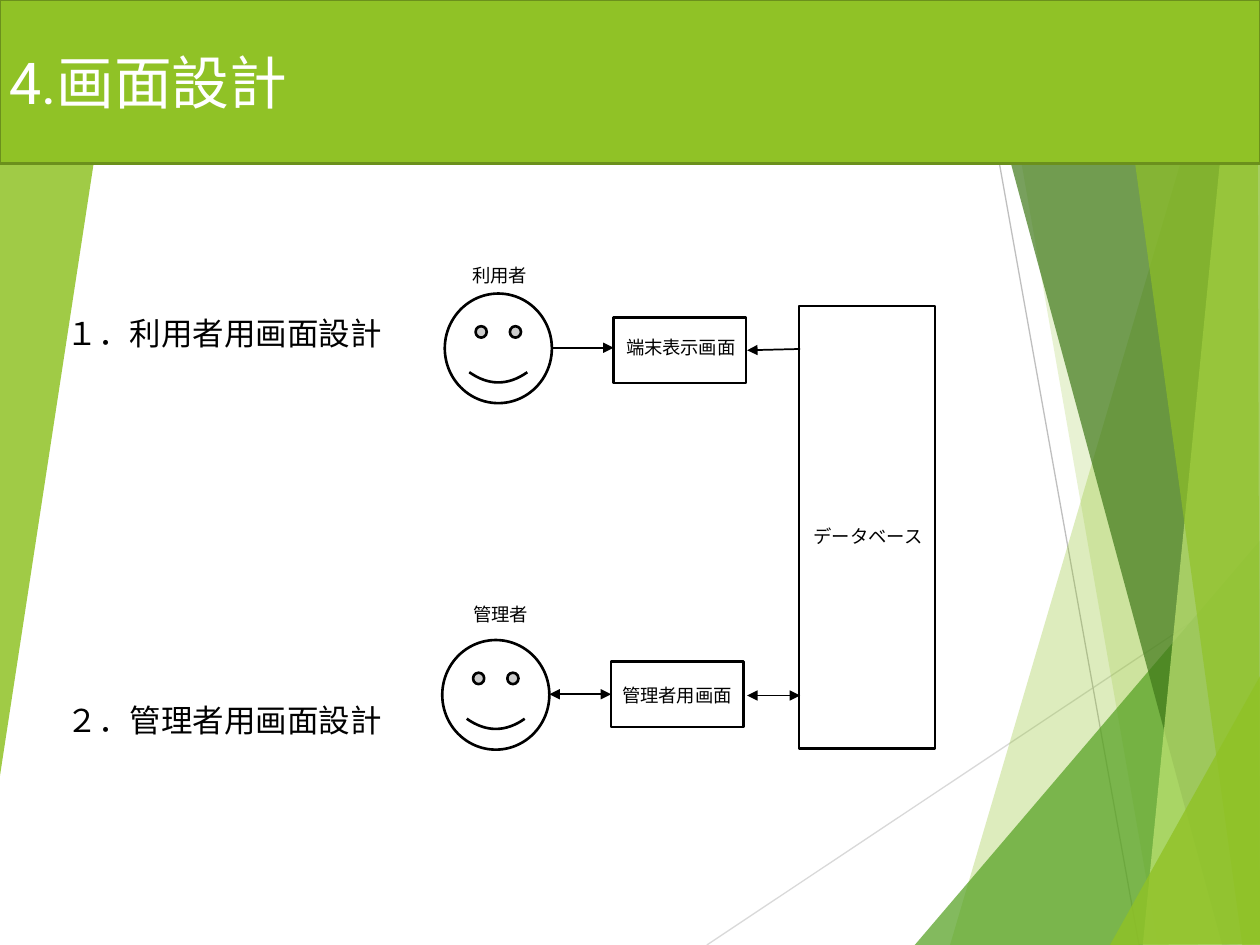
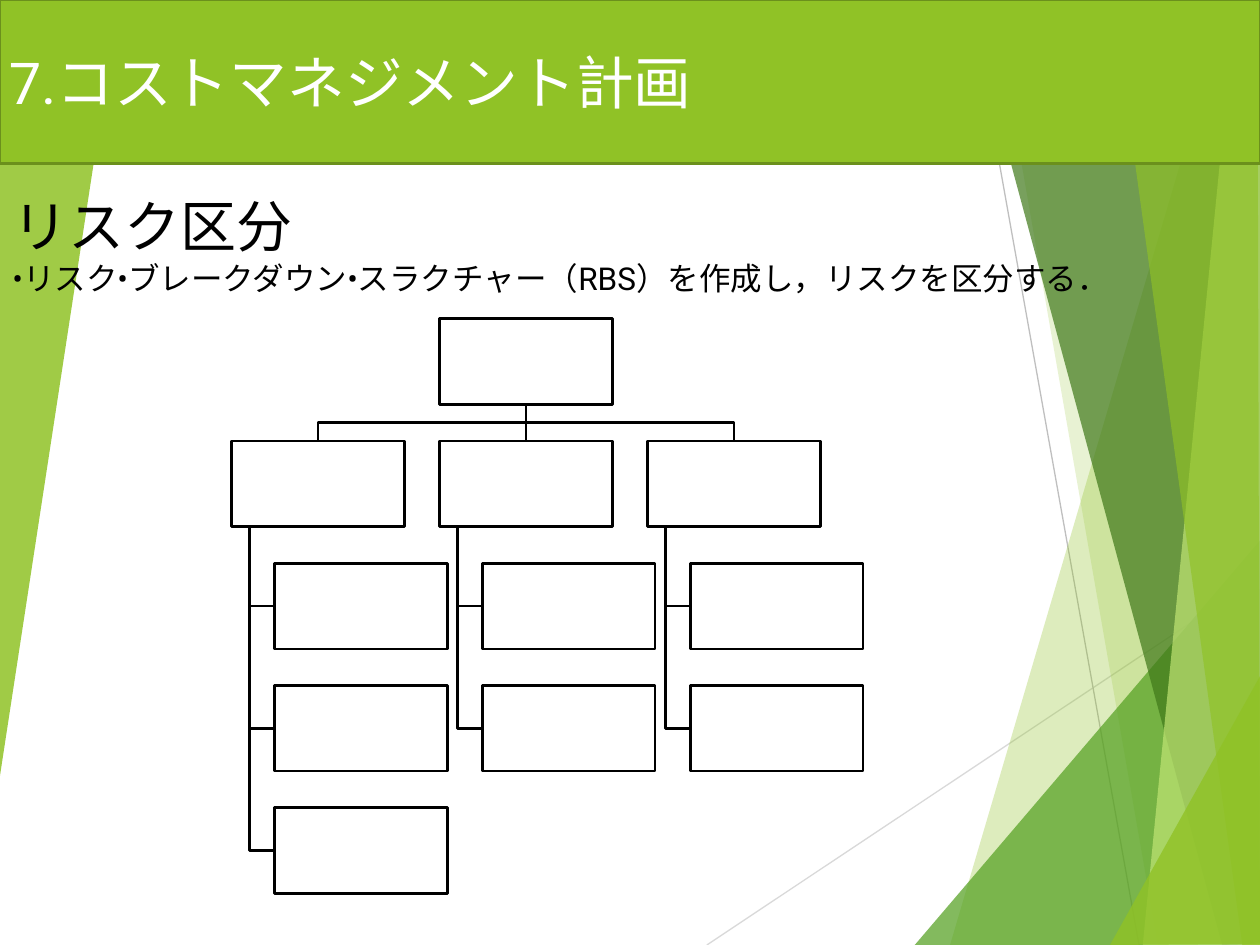
from lxml.etree import SubElement
from pptx import Presentation
from pptx.dml.color import RGBColor
from pptx.enum.shapes import MSO_CONNECTOR, MSO_SHAPE
from pptx.enum.text import MSO_ANCHOR, PP_ALIGN
from pptx.oxml.ns import qn
from pptx.util import Inches, Pt

COLORS = {
    "lime": "90C226",
    "dark_lime": "6B901C",
    "green": "54A021",
    "forest": "3F7819",
    "pale_lime": "C0E474",
    "light_gray": "D9D9D9",
    "gray": "BFBFBF",
    "white": "FFFFFF",
    "black": "000000",
}
MAIN_FONT = "Roboto"
LABEL_FONT = "Noto Sans CJK JP"

FACETS = [
    ("lime", 30, [(9.75, 0), (7.54, 7.5), (10.02, 7.51), (10.01, 0.01)]),
    ("lime", 20, [(7.88, -0.01), (9.19, 7.5), (10.01, 7.5), (10.01, -0.01)]),
    ("green", 72, [(7.26, 7.5), (10, 4.29), (10.01, 7.5)]),
    ("forest", 70, [(7.67, -0.01), (9.7, 7.5), (10.01, 7.49), (10.01, -0.01)]),
    ("pale_lime", 70, [(9.81, -0.01), (9.07, 7.5), (10.01, 7.5), (10, -0.01)]),
    ("lime", 65, [(8.83, -0.01), (9.86, 7.5), (10, 7.5), (9.98, -0.01)]),
    ("lime", 80, [(8.81, 7.5), (10.01, 5.35), (10.01, 7.49)]),
    ("lime", 85, [(-0.01, 0), (0.94, -0.01), (0.94, 0.01), (-0.01, 6.22)]),
]


def rgb(name):
    return RGBColor.from_string(COLORS[name])


class Deck:
    def __init__(self):
        self.presentation = Presentation()
        self.presentation.slide_width = Inches(10)
        self.presentation.slide_height = Inches(7.5)
        self.slide = None

    def add_slide(self, title):
        self.slide = self.presentation.slides.add_slide(self.presentation.slide_layouts[6])
        self.line((5.61, 7.5), (10.01, 4.57), "light_gray", 0.75)
        self.line((7.7, 0), (9.04, 7.5), "gray", 0.75)
        for color, opacity, points in FACETS:
            self.facet(points, color, opacity)
        band = self.box(0, 0, 10, 1.3, fill="lime", outline="dark_lime")
        text_frame = band.text_frame
        text_frame.word_wrap = True
        text_frame.vertical_anchor = MSO_ANCHOR.MIDDLE
        text_frame.margin_left = text_frame.margin_right = Inches(0.07)
        text_frame.margin_top = text_frame.margin_bottom = Inches(0.04)
        text_frame.text = title
        text_frame.paragraphs[0].alignment = PP_ALIGN.LEFT
        self.style(text_frame.paragraphs[0], 33, MAIN_FONT, "white")

    def style(self, paragraph, size, font_name, color="black"):
        for run in paragraph.runs:
            run.font.size = Pt(size)
            run.font.name = font_name
            run.font.color.rgb = rgb(color)
            properties = run._r.get_or_add_rPr()
            SubElement(properties, qn("a:ea")).set("typeface", font_name)

    def text(self, left, top, width, height, lines, font_name=MAIN_FONT, wrap=True):
        shape = self.slide.shapes.add_textbox(
            Inches(left), Inches(top), Inches(width), Inches(height))
        text_frame = shape.text_frame
        text_frame.word_wrap = wrap
        text_frame.text = "\n".join(line for line, size in lines)
        for paragraph, (line, size) in zip(text_frame.paragraphs, lines):
            self.style(paragraph, size, font_name)
        return shape

    def label(self, left, top, width, words):
        self.text(left, top, width, 0.28, [(words, 10.5)], LABEL_FONT, wrap=False)

    def box(self, left, top, width, height, kind=MSO_SHAPE.RECTANGLE,
            fill="white", outline="black"):
        shape = self.slide.shapes.add_shape(
            kind, Inches(left), Inches(top), Inches(width), Inches(height))
        shape.shadow.inherit = False
        shape.fill.solid()
        shape.fill.fore_color.rgb = rgb(fill)
        shape.line.color.rgb = rgb(outline)
        shape.line.width = Pt(1.5)
        return shape

    def outline(self, points, close):
        corners = [(Inches(x), Inches(y)) for x, y in points]
        builder = self.slide.shapes.build_freeform(*corners[0])
        builder.add_line_segments(corners[1:], close=close)
        shape = builder.convert_to_shape()
        shape.shadow.inherit = False
        return shape

    def facet(self, points, color, opacity):
        shape = self.outline(points, close=True)
        shape.fill.solid()
        shape.fill.fore_color.rgb = rgb(color)
        shape.line.fill.background()
        solid_fill = shape.element.spPr.find(qn("a:solidFill"))
        SubElement(solid_fill[0], qn("a:alpha")).set("val", str(opacity * 1000))

    def branch(self, points):
        shape = self.outline(points, close=False)
        shape.fill.background()
        shape.line.color.rgb = rgb("black")
        shape.line.width = Pt(1.5)

    def line(self, start, end, color="black", width=1, arrows=()):
        connector = self.slide.shapes.add_connector(
            MSO_CONNECTOR.STRAIGHT, *(Inches(value) for value in start + end))
        connector.line.color.rgb = rgb(color)
        connector.line.width = Pt(width)
        properties = connector.element.spPr
        for arrow in arrows:
            SubElement(properties.find(qn("a:ln")), qn(arrow)).set("type", "triangle")
        SubElement(properties, qn("a:effectLst"))


def add_screen_design(deck):
    deck.add_slide("4.画面設計")
    headings = deck.text(0.43, 2.44, 9.03, 3.93,
                         [("１．利用者用画面設計", 18), ("２．管理者用画面設計", 18)])
    headings.text_frame.paragraphs[1].space_before = Pt(199.5)

    deck.box(6.34, 2.43, 1.08, 3.51)
    deck.box(4.85, 5.25, 1.05, 0.52)
    deck.box(4.87, 2.52, 1.05, 0.52)
    deck.label(4.84, 5.38, 1.09, "管理者用画面")
    deck.label(6.36, 4.12, 1.09, "データベース")
    deck.label(3.66, 4.74, 0.64, "管理者")
    deck.label(3.65, 2.05, 0.64, "利用者")
    deck.label(4.87, 2.62, 1.09, "端末表示画面")

    one_way = ("a:tailEnd",)
    two_way = ("a:headEnd", "a:tailEnd")
    deck.line((4.38, 2.76), (4.87, 2.76), arrows=one_way)
    deck.line((6.35, 2.77), (5.93, 2.78), arrows=one_way)
    deck.line((4.36, 5.51), (4.85, 5.51), arrows=two_way)
    deck.line((5.93, 5.52), (6.35, 5.52), arrows=two_way)
    for left, top in [(3.53, 2.33), (3.51, 5.08)]:
        deck.box(left, top, 0.85, 0.87, MSO_SHAPE.SMILEY_FACE)


def add_risk_breakdown(deck):
    deck.add_slide("7.コストマネジメント計画")
    deck.text(0, 1.47, 9.45, 1.55, [
        ("リスク区分", 32),
        ("•リスク•ブレークダウン•スラクチャー（RBS）を作成し，リスクを区分する．", 18),
    ])

    width, height = 1.37, 0.68
    row_tops = [2.53 + 0.97 * row for row in range(5)]
    column_lefts = [1.84 + 1.65 * column for column in range(3)]
    child_counts = [3, 2, 2]
    root_left, root_top = column_lefts[1], row_tops[0]
    root_center, root_bottom = root_left + width / 2, root_top + height
    category_top = row_tops[1]
    bar = (root_bottom + category_top) / 2

    deck.box(root_left, root_top, width, height)
    for left, child_count in zip(column_lefts, child_counts):
        center, stem, child_left = left + width / 2, left + 0.14, left + 0.34
        deck.branch([(root_center, root_bottom), (root_center, bar),
                     (center, bar), (center, category_top)])
        deck.box(left, category_top, width, height)
        for top in row_tops[2:2 + child_count]:
            middle = top + height / 2
            deck.branch([(stem, category_top + height), (stem, middle), (child_left, middle)])
            deck.box(child_left, top, width, height)


def main():
    deck = Deck()
    add_screen_design(deck)
    add_risk_breakdown(deck)
    deck.presentation.save("out.pptx")


if __name__ == "__main__":
    main()
